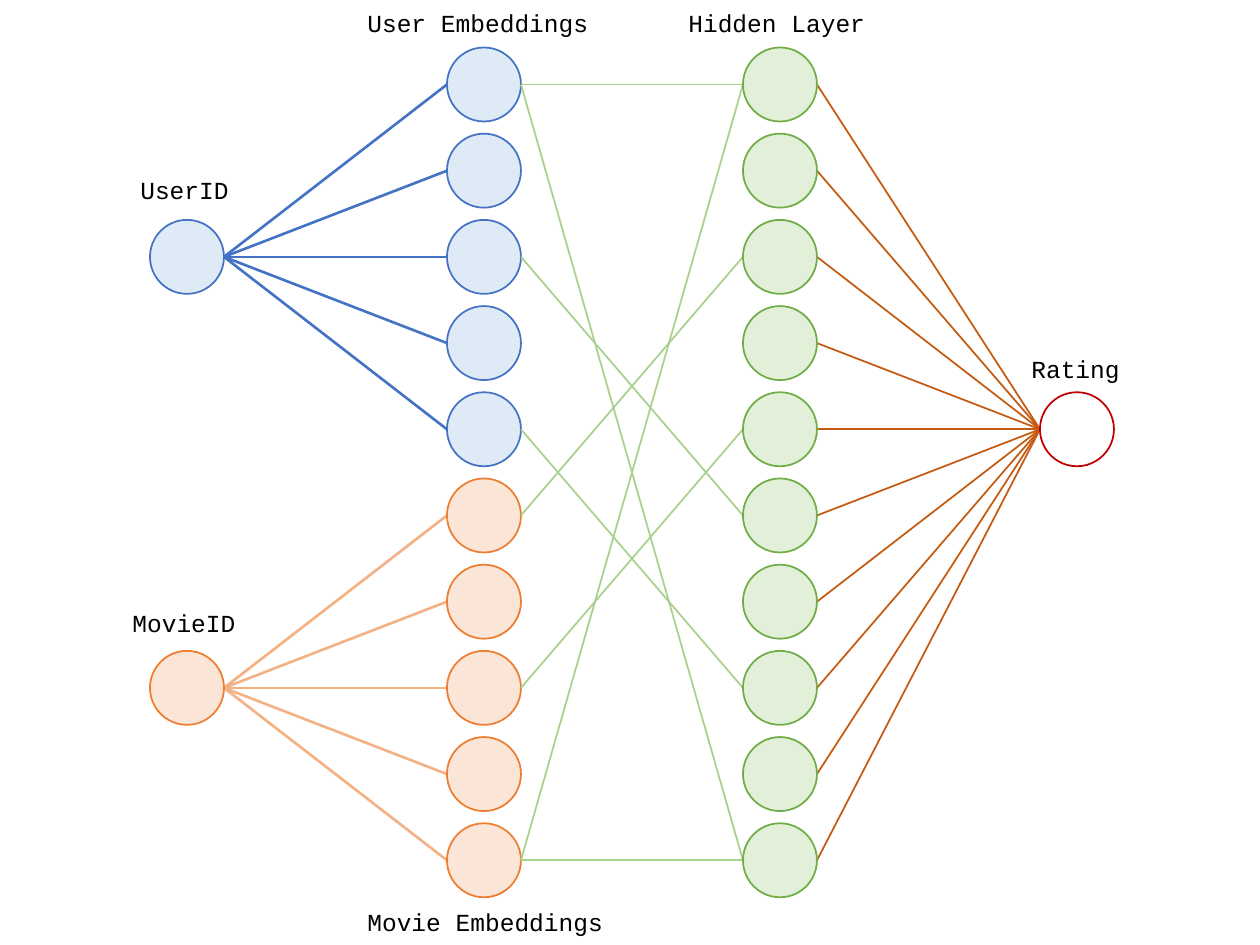
from pptx import Presentation
from pptx import util as u
from pptx.dml.color import RGBColor
from pptx.enum import shapes, text
from pptx.oxml.ns import qn
from lxml import etree

PIXEL = u.Inches(1) / 126
DIAMETER = 74
TOP_CENTER = 84.5
PITCH = 86.2
USER_X, EMBEDDING_X, HIDDEN_X, RATING_X = 187, 484, 780, 1077
USER_ROW, RATING_ROW, MOVIE_ROW = 2, 4, 7
FONT = "Courier New"
COLORS = {
    "user_fill": "DEEBF7", "user": "4472C4",
    "movie_fill": "FBE5D6", "movie": "ED7D31", "movie_link": "F4B183",
    "hidden_fill": "E2F0D9", "hidden": "70AD47", "hidden_link": "A9D18E",
    "rating_fill": "FFFFFF", "rating": "C00000", "rating_link": "C55A11",
    "text": "000000",
}
# Embedding row, hidden row
HIDDEN_LINKS = [(0, 0), (9, 9), (9, 0), (0, 9), (2, 5), (7, 4), (5, 2), (4, 7)]
# Text, left, top, width
LABELS = [
    ("UserID", 128, 169, 116),
    ("MovieID", 120, 602, 132),
    ("User Embeddings", 355, 2, 256),
    ("Movie Embeddings", 355, 901, 269),
    ("Hidden Layer", 676, 2, 208),
    ("Rating", 1019, 348, 115),
]


def px(value):
    """Convert pixels to EMU."""
    return u.Emu(round(value * PIXEL))


def color(name):
    """Look up a named colour."""
    return RGBColor.from_string(COLORS[name])


def row_y(row):
    """Return the centre height of a row of neurons."""
    return TOP_CENTER + row * PITCH


def add_neuron(slide, x, row, kind):
    """Draw one neuron centred at x in a row."""
    radius = DIAMETER / 2
    shape = slide.shapes.add_shape(
        shapes.MSO_SHAPE.OVAL, px(x - radius), px(row_y(row) - radius),
        px(DIAMETER), px(DIAMETER))
    shape.shadow.inherit = False
    shape.fill.solid()
    shape.fill.fore_color.rgb = color(kind + "_fill")
    shape.line.color.rgb = color(kind)
    shape.line.width = u.Pt(1)


def add_link(slide, start, end, line_color, width=1):
    """Join the right side of one neuron to the left side of another."""
    (start_x, start_row), (end_x, end_row) = start, end
    connector = slide.shapes.add_connector(
        shapes.MSO_CONNECTOR.STRAIGHT,
        px(start_x + DIAMETER / 2), px(row_y(start_row)),
        px(end_x - DIAMETER / 2), px(row_y(end_row)))
    connector.line.color.rgb = color(line_color)
    connector.line.width = u.Pt(width)
    etree.SubElement(connector._element.spPr, qn("a:effectLst"))


def add_label(slide, words, left, top, width):
    """Write a label in a text box."""
    box = slide.shapes.add_textbox(px(left), px(top), px(width), px(43))
    frame = box.text_frame
    frame.word_wrap = True
    frame.auto_size = text.MSO_AUTO_SIZE.SHAPE_TO_FIT_TEXT
    paragraph = frame.paragraphs[0]
    paragraph.text = words
    paragraph.font.name = FONT
    paragraph.font.size = u.Pt(14)
    paragraph.font.color.rgb = color("text")


def add_embedding(slide, kind, input_row, rows, link_color):
    """Draw an input neuron, its embedding neurons and their links."""
    for row in rows:
        add_link(slide, (USER_X, input_row), (EMBEDDING_X, row), link_color, 1.5)
        add_neuron(slide, EMBEDDING_X, row, kind)
    add_neuron(slide, USER_X, input_row, kind)


def main():
    """Build the network slide."""
    presentation = Presentation()
    presentation.slide_width = u.Inches(10)
    presentation.slide_height = u.Inches(7.5)
    slide = presentation.slides.add_slide(presentation.slide_layouts[6])

    add_embedding(slide, "user", USER_ROW, range(5), "user")
    add_embedding(slide, "movie", MOVIE_ROW, range(5, 10), "movie_link")
    for embedding_row, hidden_row in HIDDEN_LINKS:
        add_link(slide, (EMBEDDING_X, embedding_row), (HIDDEN_X, hidden_row),
                 "hidden_link")
    for row in range(10):
        add_link(slide, (HIDDEN_X, row), (RATING_X, RATING_ROW), "rating_link")
        add_neuron(slide, HIDDEN_X, row, "hidden")
    add_neuron(slide, RATING_X, RATING_ROW, "rating")
    for label in LABELS:
        add_label(slide, *label)

    presentation.save("out.pptx")


main()
